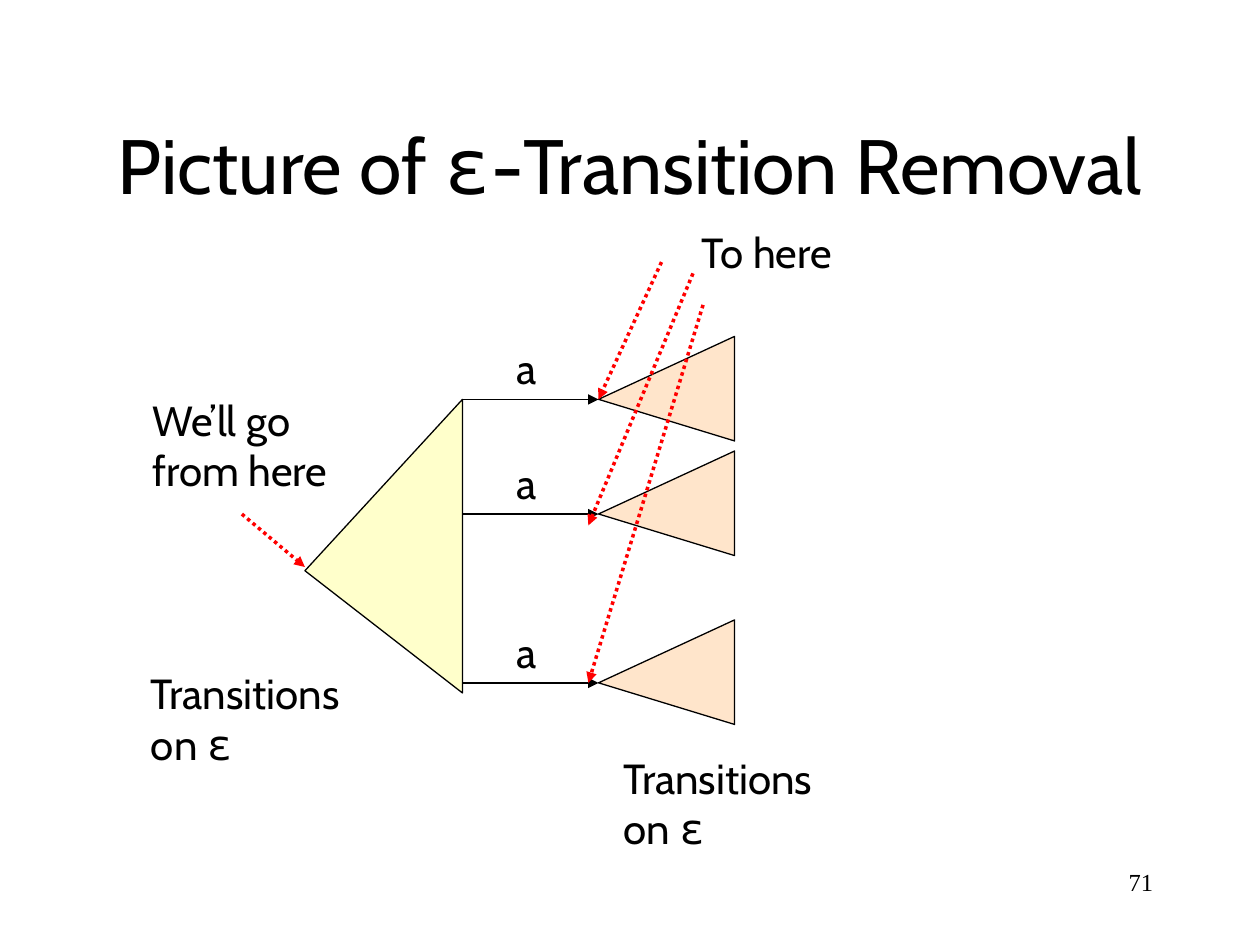
from dataclasses import dataclass

from lxml.etree import SubElement
from pptx import Presentation
from pptx.dml.color import RGBColor
from pptx.enum.dml import MSO_LINE
from pptx.enum.shapes import MSO_CONNECTOR
from pptx.enum.text import MSO_ANCHOR, PP_ALIGN
from pptx.oxml.ns import qn
from pptx.util import Inches, Pt

BODY_FONT = "Cabin"
SYMBOL_FONT = "DejaVu Sans Mono"
BLACK, RED, YELLOW, ORANGE = "000000", "FF0000", "FFFF99", "FFCC99"
EPSILON = "ε"

Point = tuple[float, float]


@dataclass
class Label:
    text: str
    left: float
    top: float
    width: float
    height: float = 0.5
    size: float = 24
    font: str = BODY_FONT
    align: PP_ALIGN = PP_ALIGN.LEFT
    anchor: MSO_ANCHOR = MSO_ANCHOR.TOP
    wrap: bool = False


@dataclass
class Arrow:
    start: Point
    end: Point
    color: str = RED
    width: float = 2
    dotted: bool = True


def rgb(color: str) -> RGBColor:
    return RGBColor.from_string(color)


def style_font(font, name: str, size: float) -> None:
    font.name = name
    font.size = Pt(size)
    font.color.rgb = rgb(BLACK)


def add_label(page, label: Label) -> None:
    box = page.shapes.add_textbox(Inches(label.left), Inches(label.top),
                                  Inches(label.width), Inches(label.height))
    frame = box.text_frame
    frame.word_wrap = label.wrap
    frame.vertical_anchor = label.anchor
    for index, line in enumerate(label.text.split("\n")):
        para = frame.add_paragraph() if index else frame.paragraphs[0]
        para.alignment = label.align
        before, symbol, after = line.partition(EPSILON)
        for part in filter(None, (before, symbol, after)):
            span = para.add_run()
            span.text = part
            if symbol:
                name = SYMBOL_FONT if part == EPSILON else label.font
                style_font(span.font, name, label.size)
        if not symbol:
            style_font(para.font, label.font, label.size)


def add_triangle(page, corners: list[Point], color: str) -> None:
    first, *others = [(Inches(x), Inches(y)) for x, y in corners]
    builder = page.shapes.build_freeform(*first)
    builder.add_line_segments(others, close=True)
    triangle = builder.convert_to_shape()
    triangle.shadow.inherit = False
    triangle.fill.solid()
    triangle.fill.fore_color.rgb = rgb(color)
    # Half transparent fill
    fill_color = triangle.fill._xPr.find(f"{qn('a:solidFill')}/{qn('a:srgbClr')}")
    SubElement(fill_color, qn("a:alpha"), val="50000")
    triangle.line.color.rgb = rgb(BLACK)
    triangle.line.width = Pt(0.75)


def add_arrow(page, arrow: Arrow) -> None:
    connector = page.shapes.add_connector(
        MSO_CONNECTOR.STRAIGHT,
        *(Inches(value) for value in (*arrow.start, *arrow.end)))
    line = connector.line
    line.color.rgb = rgb(arrow.color)
    line.width = Pt(arrow.width)
    if arrow.dotted:
        line.dash_style = MSO_LINE.ROUND_DOT
    SubElement(line._get_or_add_ln(), qn("a:tailEnd"), type="triangle")
    SubElement(connector._element.spPr, qn("a:effectLst"))


SOURCE_TIP = (2.42, 4.53)
SOURCE_RIGHT = 3.67
TARGET_LEFT, TARGET_RIGHT = 4.75, 5.83
BRANCH_LEVELS = [3.17, 4.08, 5.42]

LABELS = [
    Label("71", 7.17, 6.83, 2.08, size=14, font="Times New Roman",
          align=PP_ALIGN.RIGHT, wrap=True),
    Label("Picture of ε-Transition Removal", 0, 0.67, 10, 1.25, size=44,
          align=PP_ALIGN.CENTER, anchor=MSO_ANCHOR.MIDDLE, wrap=True),
    Label("Transitions\non ε", 1.1, 5.25, 1.93, 0.9),
    Label("Transitions\non ε", 4.85, 5.92, 1.93, 0.9),
    Label("We’ll go\nfrom here", 1.11, 3.08, 1.77, 0.9),
    Label("To here", 5.47, 1.75, 1.39),
]

POINTERS = [
    Arrow((1.92, 4.08), (2.42, 4.5)),
    Arrow((5.25, 2.08), (4.75, 3.17)),
    Arrow((5.5, 2.17), (4.67, 4.17)),
    Arrow((5.58, 2.42), (4.67, 5.42)),
]


def main() -> None:
    deck = Presentation()
    deck.slide_width, deck.slide_height = Inches(10), Inches(7.5)
    page = deck.slides.add_slide(deck.slide_layouts[6])

    # Title, captions and page number
    for label in LABELS:
        add_label(page, label)

    # States reached from the start on ε
    add_triangle(page, [SOURCE_TIP, (SOURCE_RIGHT, 3.17), (SOURCE_RIGHT, 5.5)], YELLOW)

    # Transitions on a, each followed by more states reached on ε
    for level in BRANCH_LEVELS:
        tip = (TARGET_LEFT, level)
        add_arrow(page, Arrow((SOURCE_RIGHT, level), tip, BLACK, 0.75, dotted=False))
        add_label(page, Label("a", 4, level - 0.5, 0.38))
        add_triangle(page, [tip, (TARGET_RIGHT, level - 0.5),
                            (TARGET_RIGHT, level + 0.33)], ORANGE)

    # Dotted pointers for the new transitions
    for pointer in POINTERS:
        add_arrow(page, pointer)

    deck.save("out.pptx")


if __name__ == "__main__":
    main()
